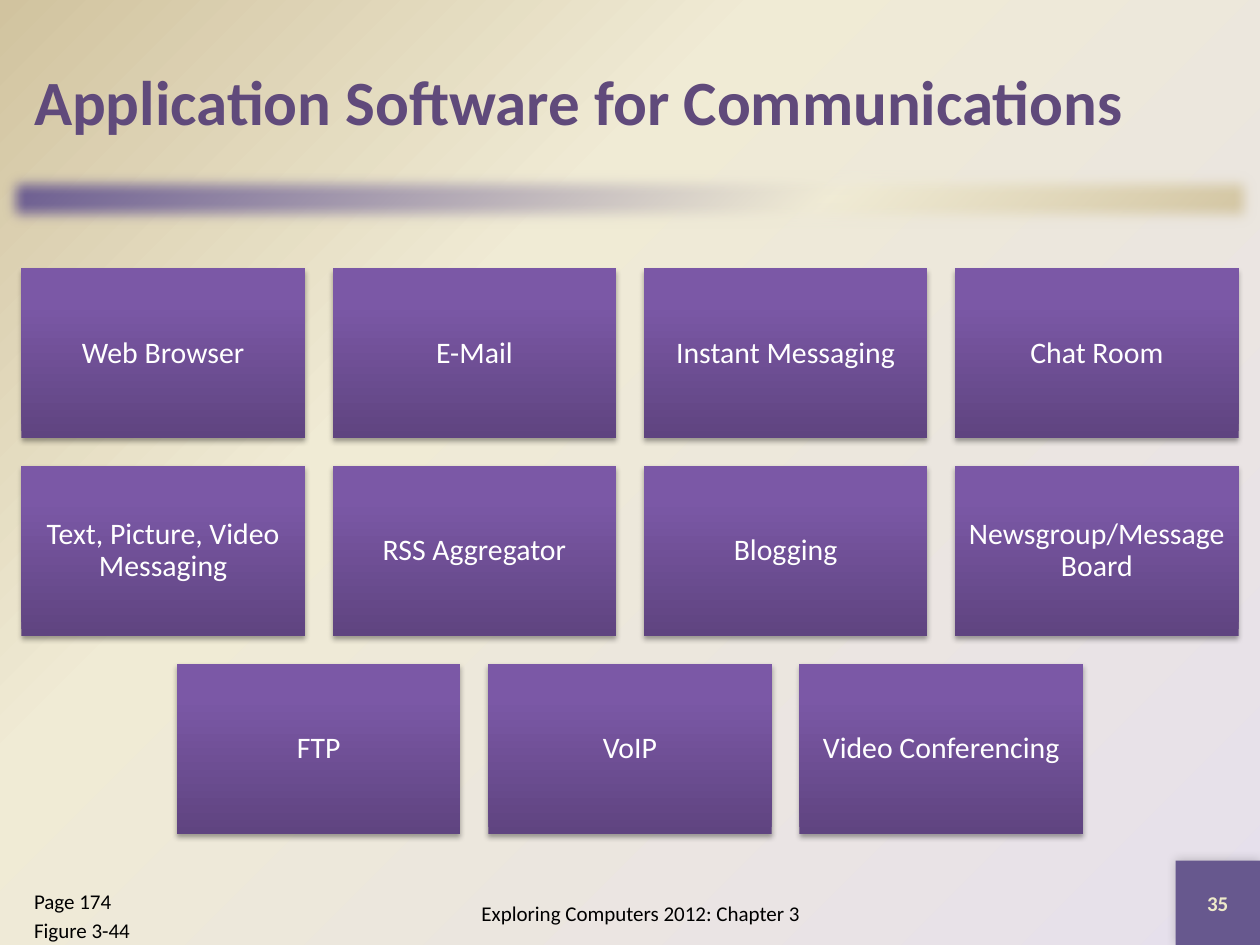
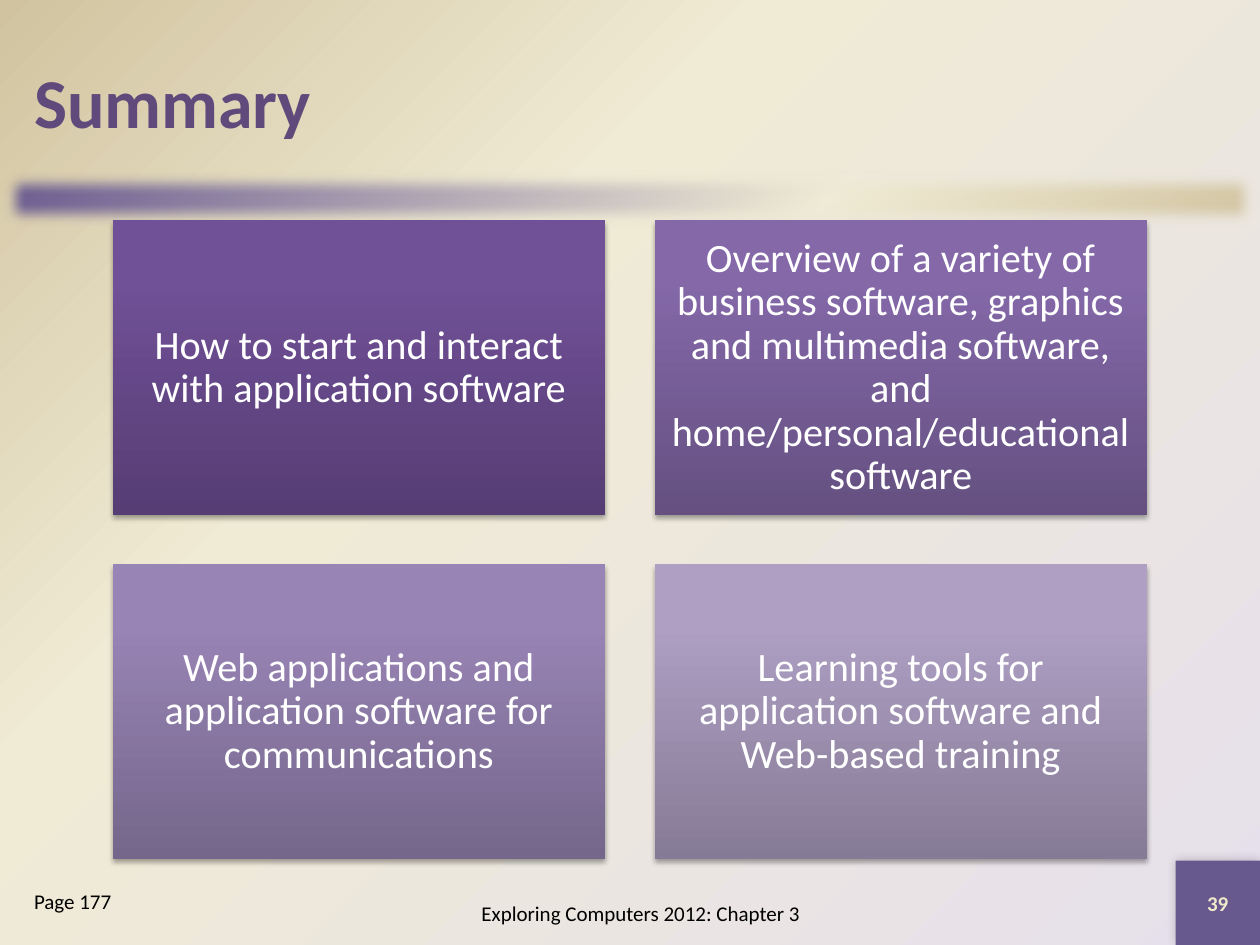
"""Build two slides of coloured tile grids with a shared title, band and footer."""
from lxml import etree
from pptx import Presentation
from pptx.dml.color import RGBColor
from pptx.enum import shapes, text
from pptx.oxml import ns
from pptx.util import Inches, Pt

HEX = {"title": "604A7B", "band": "67588E", "cream": "F0EBD5", "tan": "D1C39F",
       "mist": "E6E0EC", "num": "EEEBCA", "white": "FFFFFF", "black": "000000"}
FONT = "Calibri"
WIDE, HIGH = 10, 7.5
FOOT = "Exploring Computers 2012: Chapter 3"
MID = text.PP_ALIGN.CENTER
VIOLET = ("5F4480", "7B58A6", "7C57A8")

DECK = [
    {"title": "Application Software for Communications", "size": 36,
     "page": ["Page 174", "Figure 3-44"], "num": "35",
     "tile": {"wide": 2.25, "high": 1.35, "gap": 0.22, "top": 2.13, "cols": 4,
              "size": 17, "pad": 0.07},
     "items": [(name, VIOLET) for name in (
         "Web Browser", "E-Mail", "Instant Messaging", "Chat Room",
         "Text, Picture, Video Messaging", "RSS Aggregator", "Blogging",
         "Newsgroup/Message Board", "FTP", "VoIP", "Video Conferencing")]},
    {"title": "Summary", "size": 40, "page": ["Page 177"], "num": "39",
     "tile": {"wide": 3.91, "high": 2.34, "gap": 0.39, "top": 1.75, "cols": 2,
              "size": 23, "pad": 0.1},
     "items": [
         ("How to start and interact with application software",
          ("563D74", "705097", "704F99")),
         ("Overview of a variety of business software, graphics and multimedia "
          "software, and home/personal/educational software",
          ("655081", "8468A8", "8467AA")),
         ("Web applications and application software for communications",
          ("75668B", "9884B5", "9984B7")),
         ("Learning tools for application software and Web-based training",
          ("867B96", "AE9FC3", "AE9FC4"))]},
]


def add(parent, tag, **attrs):
    """Append a drawing element and return it."""
    node = etree.SubElement(parent, ns.qn("a:" + tag))
    for key, value in attrs.items():
        node.set(key, str(value))
    return node


def blend(fill, props, stops, angle=None):
    """Fill with a linear gradient, or a round one from the lower right corner."""
    fill.background()
    old = props.find(ns.qn("a:noFill"))
    grad = etree.Element(ns.qn("a:gradFill"), rotWithShape="1")
    group = add(grad, "gsLst")
    for place, tone in stops:
        add(add(group, "gs", pos=place * 1000), "srgbClr", val=tone)
    if angle is None:
        add(add(grad, "path", path="circle"), "fillToRect", l=100000, t=100000)
    else:
        add(grad, "lin", ang=angle * 60000, scaled=0)
    props.replace(old, grad)


def place(shape, left, top, wide, high):
    """Move and size a shape in inches."""
    shape.left, shape.top = Inches(left), Inches(top)
    shape.width, shape.height = Inches(wide), Inches(high)


def rect(slide, *spot):
    """Add a plain rectangle and return it with its empty effect list."""
    shape = slide.shapes.add_shape(shapes.MSO_SHAPE.RECTANGLE, *map(Inches, spot))
    shape.line.fill.background()
    shape.shadow.inherit = False
    return shape, shape.element.spPr.find(ns.qn("a:effectLst"))


def shade(effects, alpha, blur, dist, angle):
    """Add an outer black shadow."""
    node = add(effects, "outerShdw", blurRad=Pt(blur), dist=Pt(dist),
               dir=angle * 60000, rotWithShape=0)
    add(add(node, "srgbClr", val=HEX["black"]), "alpha", val=alpha * 1000)


def write(shape, lines, size, tone, bold=False, align=MID,
          anchor=text.MSO_ANCHOR.MIDDLE):
    """Put styled paragraphs in a shape and return its text frame."""
    frame = shape.text_frame
    frame.text = "\n".join(lines)
    frame.word_wrap = True
    frame.auto_size = text.MSO_AUTO_SIZE.NONE
    frame.vertical_anchor = anchor
    for par in frame.paragraphs:
        par.alignment = align
        font = par.font
        font.name, font.size, font.bold = FONT, Pt(size), bold
        font.color.rgb = RGBColor.from_string(HEX[tone])
    return frame


def frame_slide(slide, data):
    """Draw the band, corner, title and footers."""
    band, effects = rect(slide, 0, 1.33, WIDE, 0.5)
    blend(band.fill, band.element.spPr,
          [(0, HEX["band"]), (65, HEX["cream"]), (100, HEX["tan"])], 45)
    add(effects, "softEdge", rad=112500)

    corner, effects = rect(slide, 9.33, 6.83, 0.67, 0.67)
    corner.fill.solid()
    corner.fill.fore_color.rgb = RGBColor.from_string(HEX["band"])
    shade(effects, 20, 6, 0, 225)
    write(corner, [data["num"]], 12, "num", True)

    title, page = slide.placeholders
    place(title, 0.17, 0.17, 9.67, 1.25)
    write(title, [data["title"]], data["size"], "title", True, text.PP_ALIGN.LEFT)

    foot = slide.shapes.add_textbox(*map(Inches, (3, 7, 4.17, 0.5)))
    write(foot, [FOOT], 12, "black")

    place(page, 0.17, 7, 1.83, 0.5)
    frame = write(page, data["page"], 12, "black", align=text.PP_ALIGN.LEFT,
                  anchor=text.MSO_ANCHOR.TOP)
    for spot, par in enumerate(frame.paragraphs):
        par.space_before = Pt(2.4 if spot else 0)
        props = par._p.get_or_add_pPr()
        props.set("marL", str(Inches(0.38)))
        props.set("indent", str(-Inches(0.38)))
        props.insert_element_before(etree.Element(ns.qn("a:buNone")),
                                    "a:tabLst", "a:defRPr", "a:extLst")


def tiles(slide, items, tile):
    """Lay out tiles in rows, each row centred on the slide."""
    wide, high, gap, cols = (tile[key] for key in ("wide", "high", "gap", "cols"))
    for start in range(0, len(items), cols):
        row = items[start:start + cols]
        left = (WIDE - len(row) * (wide + gap) + gap) / 2
        top = tile["top"] + start // cols * (high + gap)
        for col, (label, tones) in enumerate(row):
            box, effects = rect(slide, left + col * (wide + gap), top, wide, high)
            blend(box.fill, box.element.spPr, list(zip((0, 80, 100), tones)), 270)
            shade(effects, 35, 3.1, 1.8, 90)
            frame = write(box, [label], tile["size"], "white")
            frame.paragraphs[0].line_spacing = 0.9
            frame.margin_left = frame.margin_right = Inches(tile["pad"])
            frame.margin_top = frame.margin_bottom = Inches(tile["pad"])


def main():
    """Build and save the deck."""
    deck = Presentation()
    deck.slide_width, deck.slide_height = Inches(WIDE), Inches(HIGH)
    master = deck.slide_master
    fill = master.background.fill
    blend(fill, master.element.find(".//" + ns.qn("p:bgPr")),
          [(0, HEX["mist"]), (65, HEX["cream"]), (100, HEX["tan"])])
    for data in DECK:
        slide = deck.slides.add_slide(deck.slide_layouts[1])
        frame_slide(slide, data)
        tiles(slide, data["items"], data["tile"])
    deck.save("out.pptx")


if __name__ == "__main__":
    main()
